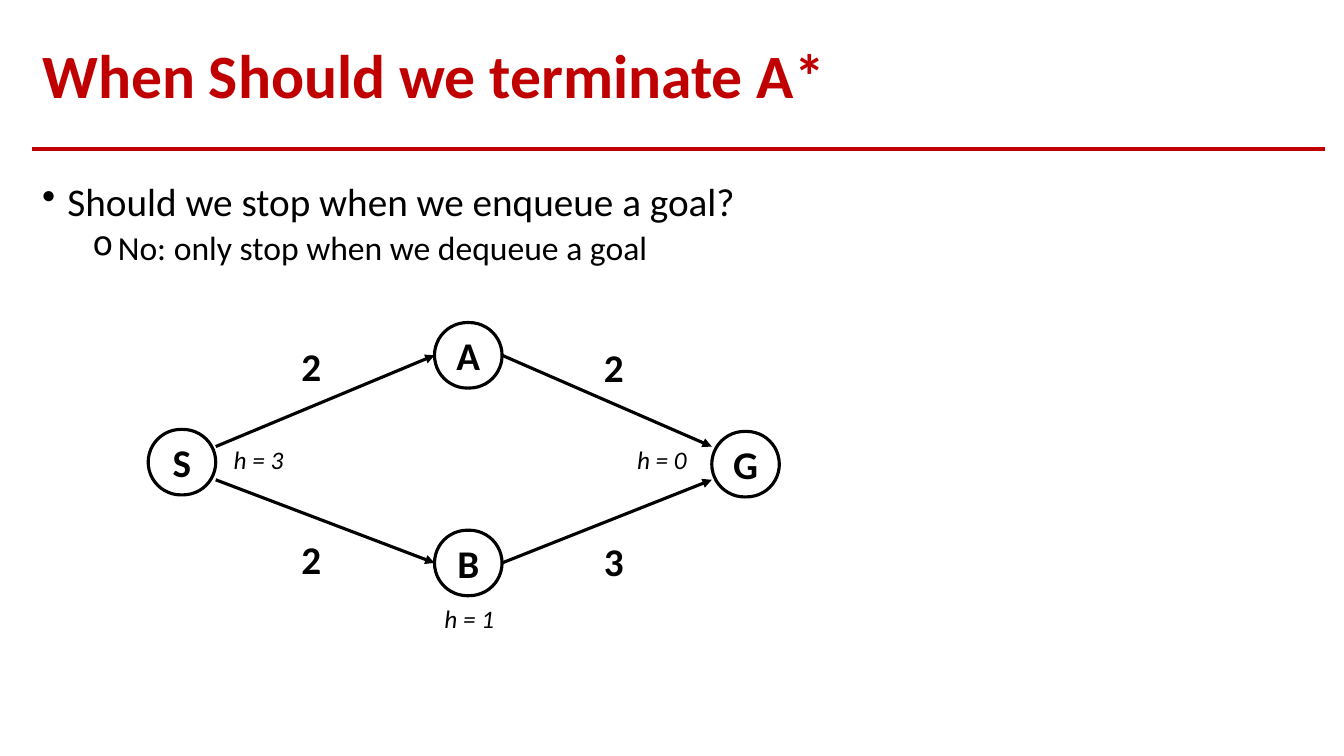
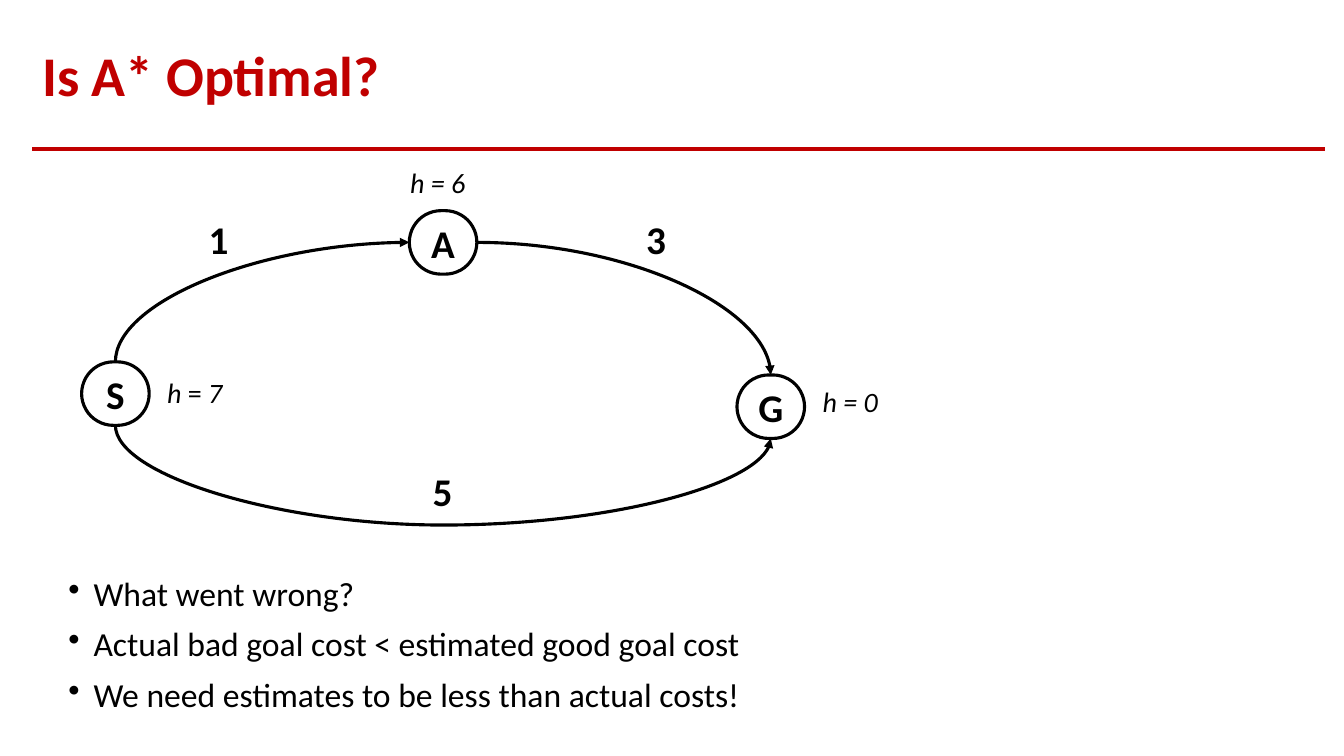
from dataclasses import dataclass

from pptx import Presentation
from pptx.dml.color import RGBColor
from pptx.enum.shapes import MSO_CONNECTOR, MSO_SHAPE
from pptx.enum.text import MSO_ANCHOR, PP_ALIGN
from pptx.oxml.ns import qn
from pptx.shapes.autoshape import Shape
from pptx.shapes.connector import Connector
from pptx.slide import Slide
from pptx.util import Inches, Pt
from lxml import etree

STRAIGHT, CURVE = MSO_CONNECTOR.STRAIGHT, MSO_CONNECTOR.CURVE
ROUNDED = MSO_SHAPE.ROUNDED_RECTANGLE
MIDDLE = MSO_ANCHOR.MIDDLE
LEFT, CENTER = PP_ALIGN.LEFT, PP_ALIGN.CENTER
TOP_SIDE, LEFT_SIDE, BOTTOM_SIDE, RIGHT_SIDE = range(4)


@dataclass(frozen=True)
class Theme:
    font: str = "Calibri"
    accent: RGBColor = RGBColor(0xC0, 0x00, 0x00)
    ink: RGBColor = RGBColor(0x00, 0x00, 0x00)
    node_size: int = 28
    cost_size: int = 28
    rule_width: float = 2.5
    edge_width: float = 2.25
    margin: float = 0.32
    content_width: float = 12.82
    node_width: float = 0.67


@dataclass(frozen=True)
class Node:
    name: str
    left: float
    top: float


@dataclass(frozen=True)
class Label:
    text: str
    left: float
    top: float


@dataclass(frozen=True)
class Bullet:
    text: str
    size: int
    level: int = 0


@dataclass(frozen=True)
class Arc:
    start: str
    start_side: int
    end: str
    end_side: int
    preset: str
    rotation: int = 0
    flips: tuple[str, ...] = ()
    dip: float = 0


THEME = Theme()


def style(paragraph, size: int, color: RGBColor = THEME.ink,
          bold: bool = False, italic: bool = False) -> None:
    font = paragraph.font
    font.name, font.size = THEME.font, Pt(size)
    font.bold, font.italic = bold, italic
    font.color.rgb = color


def add_box(page: Slide, left: float, top: float, width: float, height: float) -> Shape:
    box = page.shapes.add_textbox(Inches(left), Inches(top), Inches(width), Inches(height))
    box.text_frame.word_wrap = True
    return box


def style_line(line: Connector, color: RGBColor, width: float, arrow: bool) -> None:
    line.line.color.rgb = color
    line.line.width = Pt(width)
    properties = line._element.spPr
    if arrow:
        etree.SubElement(properties.find(qn("a:ln")), qn("a:tailEnd"), type="triangle")
    etree.SubElement(properties, qn("a:effectLst"))


def add_line(page: Slide, start: tuple[float, float], end: tuple[float, float],
             color: RGBColor, width: float, arrow: bool) -> Connector:
    line = page.shapes.add_connector(STRAIGHT, *(Inches(value) for value in start + end))
    style_line(line, color, width, arrow)
    return line


def add_page(deck, title: str, size: int) -> Slide:
    page = deck.slides.add_slide(deck.slide_layouts[6])
    right = THEME.margin + THEME.content_width
    add_line(page, (THEME.margin, 1.48), (right, 1.48),
             THEME.accent, THEME.rule_width, False)
    frame = add_box(page, THEME.margin, 0.28, THEME.content_width, 1).text_frame
    frame.vertical_anchor = MIDDLE
    paragraph = frame.paragraphs[0]
    paragraph.text = title
    paragraph.line_spacing = 0.9
    style(paragraph, size, THEME.accent, bold=True)
    return page


def add_bullets(page: Slide, left: float, top: float, width: float, height: float,
                bullets: list[Bullet]) -> None:
    frame = add_box(page, left, top, width, height).text_frame
    for index, bullet in enumerate(bullets):
        paragraph = frame.add_paragraph() if index else frame.paragraphs[0]
        paragraph.text = bullet.text
        paragraph.level = bullet.level
        paragraph.line_spacing = 0.9
        paragraph.space_before = Pt(5 if bullet.level else 10)
        properties = paragraph._p.get_or_add_pPr()
        properties.set("marL", str(Inches(0.25 + 0.5 * bullet.level)))
        properties.set("indent", str(Inches(-0.25)))
        etree.SubElement(properties, qn("a:buChar"), char="•o"[bullet.level])
        style(paragraph, bullet.size)


def add_nodes(page: Slide, height: float, nodes: list[Node]) -> dict[str, Shape]:
    shapes = {}
    for node in nodes:
        shape = page.shapes.add_shape(ROUNDED, Inches(node.left), Inches(node.top),
                                      Inches(THEME.node_width), Inches(height))
        shape.adjustments[0] = 0.5
        shape.shadow.inherit = False
        shape.fill.background()
        shape.line.color.rgb = THEME.ink
        shape.line.width = Pt(THEME.edge_width)
        frame = shape.text_frame
        frame.word_wrap = False
        frame.vertical_anchor = MIDDLE
        paragraph = frame.paragraphs[0]
        paragraph.text = node.name
        paragraph.alignment = CENTER
        style(paragraph, THEME.node_size, bold=True)
        shapes[node.name] = shape
    return shapes


def add_costs(page: Slide, labels: list[Label], alignment=LEFT) -> None:
    for label in labels:
        paragraph = add_box(page, label.left, label.top, 0.5, 0.57).text_frame.paragraphs[0]
        paragraph.text = label.text
        paragraph.alignment = alignment
        style(paragraph, THEME.cost_size, bold=True)


def add_estimates(page: Slide, size: int, labels: list[Label],
                  upright: str = "") -> None:
    for label in labels:
        paragraph = add_box(page, label.left, label.top, 1, 0.4).text_frame.paragraphs[0]
        style(paragraph, size, italic=True)
        if not upright:
            paragraph.text = label.text
            continue
        for part in label.text.partition(upright):
            span = paragraph.add_run()
            span.text = part
            span.font.italic = part != upright


def add_arc(page: Slide, nodes: dict[str, Shape], arc: Arc) -> None:
    line = page.shapes.add_connector(CURVE, 0, 0, 0, 0)
    line.begin_connect(nodes[arc.start], arc.start_side)
    line.end_connect(nodes[arc.end], arc.end_side)
    style_line(line, THEME.ink, THEME.edge_width, True)
    middle_x = (line.begin_x + line.end_x) // 2
    middle_y = (line.begin_y + line.end_y) // 2
    width, height = line.width, line.height
    if arc.rotation:
        width, height = height, width
    line.left, line.top = middle_x - width // 2, middle_y - height // 2
    line.width, line.height = width, height
    frame = line._element.spPr.find(qn("a:xfrm"))
    for flip in ("flipH", "flipV"):
        frame.set(flip, str(int(flip in arc.flips)))
    frame.set("rot", str(arc.rotation * 60000))
    geometry = line._element.spPr.find(qn("a:prstGeom"))
    geometry.set("prst", arc.preset)
    if arc.dip:
        amount = round(Inches(arc.dip) / width * 100000)
        guides = geometry.find(qn("a:avLst"))
        etree.SubElement(guides, qn("a:gd"), name="adj1", fmla=f"val {amount}")


def build_termination(deck) -> None:
    page = add_page(deck, "When Should we terminate A*", 44)
    add_bullets(page, THEME.margin, 1.76, THEME.content_width, 4.99, [
        Bullet("Should we stop when we enqueue a goal?", 28),
        Bullet("No: only stop when we dequeue a goal", 24, 1),
    ])
    start, goal = Node("S", 1.47, 4.26), Node("G", 7.06, 4.28)
    middles = [(Node("A", 4.31, 3.2), 4.43), (Node("B", 4.31, 5.26), 4.76)]
    height = 0.65
    nodes = add_nodes(page, height, [start, goal] + [node for node, _ in middles])
    for node, outer_y in middles:
        center_y = node.top + height / 2
        arriving = add_line(page, (start.left + THEME.node_width, outer_y),
                            (node.left, center_y), THEME.ink, THEME.edge_width, True)
        arriving.end_connect(nodes[node.name], LEFT_SIDE)
        leaving = add_line(page, (node.left + THEME.node_width, center_y),
                           (goal.left, outer_y), THEME.ink, THEME.edge_width, True)
        leaving.begin_connect(nodes[node.name], RIGHT_SIDE)
    add_costs(page, [Label("2", 2.89, 3.35), Label("2", 5.89, 3.36),
                     Label("2", 2.89, 5.26), Label("3", 5.89, 5.28)])
    add_estimates(page, 18, [Label("h = 1", 4.31, 5.94), Label("h = 0", 6.22, 4.36),
                             Label("h = 3", 2.22, 4.36)])


def build_optimality(deck) -> None:
    page = add_page(deck, "Is A* Optimal?", 40)
    add_bullets(page, 0.58, 5.68, 10.47, 1.39, [
        Bullet(text, 24) for text in (
            "What went wrong?",
            "Actual bad goal cost < estimated good goal cost",
            "We need estimates to be less than actual costs!",
        )
    ])
    nodes = add_nodes(page, 0.63, [Node("A", 4.06, 2.09), Node("G", 7.31, 3.72),
                                   Node("S", 0.81, 3.59)])
    for arc in (
        Arc("S", BOTTOM_SIDE, "G", BOTTOM_SIDE, "curvedConnector3", 270, ("flipH",), 0.99),
        Arc("S", TOP_SIDE, "A", LEFT_SIDE, "curvedConnector2", 90, ("flipH", "flipV")),
        Arc("A", RIGHT_SIDE, "G", TOP_SIDE, "curvedConnector2"),
    ):
        add_arc(page, nodes, arc)
    add_costs(page, [Label("1", 1.97, 2.09), Label("3", 6.31, 2.09)])
    add_costs(page, [Label("5", 4.14, 4.59)], CENTER)
    add_estimates(page, 20, [Label("h = 6", 3.97, 1.59), Label("h = 0", 8.06, 3.77)])
    add_estimates(page, 20, [Label("h = 7", 1.56, 3.68)], upright=" = ")


def main() -> None:
    deck = Presentation()
    deck.slide_width, deck.slide_height = Inches(13.33), Inches(7.5)
    build_termination(deck)
    build_optimality(deck)
    deck.save("out.pptx")


if __name__ == "__main__":
    main()
